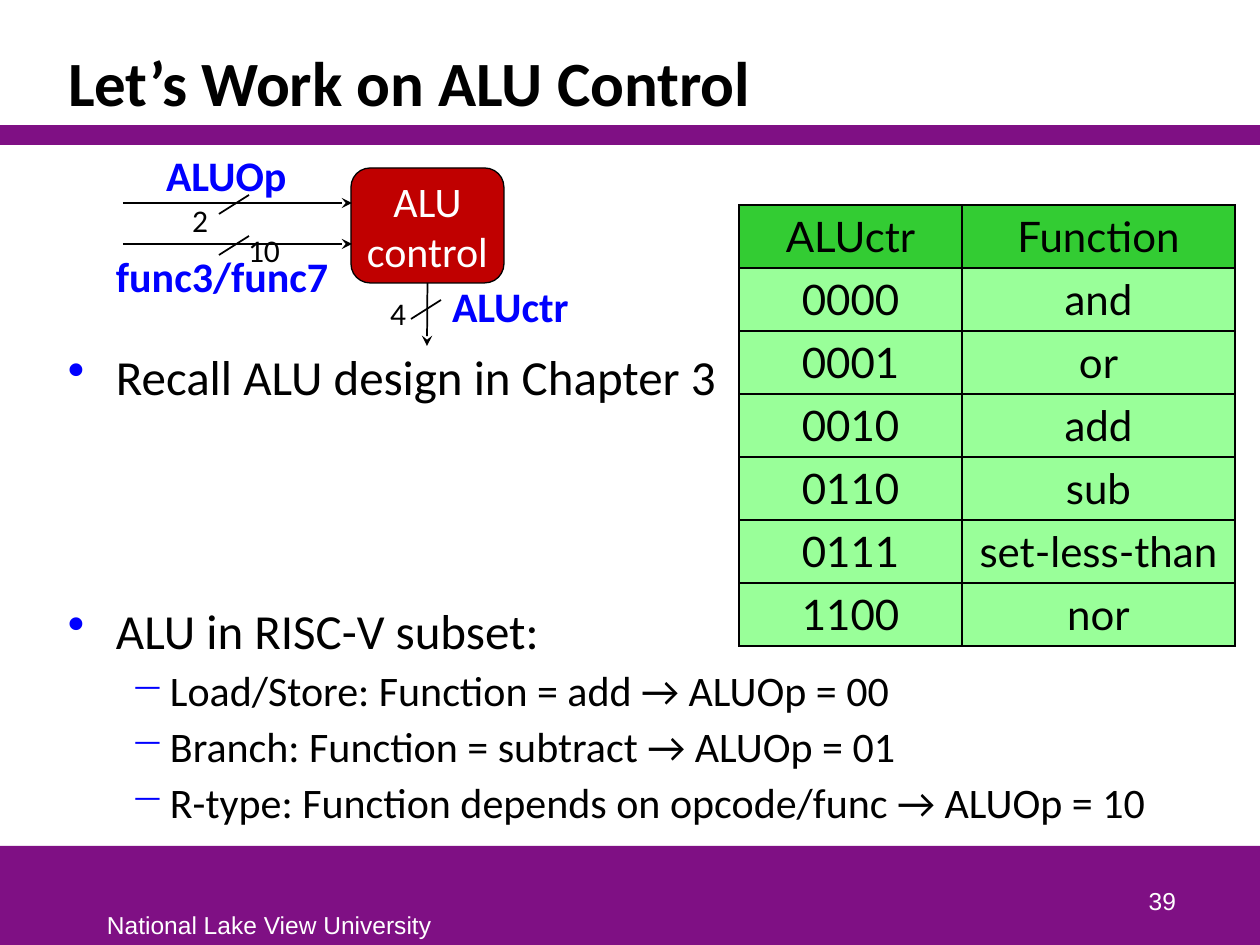
from lxml import etree
from pptx import Presentation
from pptx.dml.color import RGBColor
from pptx.enum.shapes import MSO_CONNECTOR, MSO_SHAPE
from pptx.enum.text import MSO_ANCHOR, PP_ALIGN
from pptx.oxml.ns import qn
from pptx.util import Pt

PX = 914400 / 126
STRAIGHT = MSO_CONNECTOR.STRAIGHT
RECT, ROUND_RECT = MSO_SHAPE.RECTANGLE, MSO_SHAPE.ROUNDED_RECTANGLE
TOP, MIDDLE, BOTTOM = MSO_ANCHOR.TOP, MSO_ANCHOR.MIDDLE, MSO_ANCHOR.BOTTOM
LEFT, CENTER, RIGHT = PP_ALIGN.LEFT, PP_ALIGN.CENTER, PP_ALIGN.RIGHT

BLACK = RGBColor(0x00, 0x00, 0x00)
WHITE = RGBColor(0xFF, 0xFF, 0xFF)
BLUE = RGBColor(0x00, 0x00, 0xFF)
PURPLE = RGBColor(0x7F, 0x10, 0x84)
RED = RGBColor(0xC0, 0x00, 0x00)
GREEN = RGBColor(0x33, 0xCC, 0x33)
LIGHT_GREEN = RGBColor(0x99, 0xFF, 0x99)

ALU_FUNCTIONS = [
    ("ALUctr", "Function"),
    ("0000", "and"),
    ("0001", "or"),
    ("0010", "add"),
    ("0110", "sub"),
    ("0111", "set-less-than"),
    ("1100", "nor"),
]
BULLETS = [
    ("Recall ALU design in Chapter 3", 0, 0),
    ("ALU in RISC-V subset:", 0, 112),
    ("Load/Store: Function = add → ALUOp = 00", 1, 3),
    ("Branch: Function = subtract → ALUOp = 01", 1, 3),
    ("R-type: Function depends on opcode/func → ALUOp = 10", 1, 3),
]
LEVELS = [("•", 28, 48, 48), ("−", 24, 102, 39)]


def px(*values):
    """Turn pixel lengths into a list of EMU."""
    return [round(v * PX) for v in values]


def write(p, text, size=24, font="Calibri", color=BLACK, bold=False, align=LEFT):
    """Add a formatted run to a paragraph."""
    p.alignment = align
    r = p.add_run()
    r.text = text
    r.font.size = Pt(size)
    r.font.name = font
    r.font.bold = bold
    r.font.color.rgb = color


def set_frame(tf, anchor=TOP, mx=13, my=6):
    """Set wrapping, anchor and margins of a text frame."""
    tf.word_wrap = True
    tf.vertical_anchor = anchor
    tf.margin_left = tf.margin_right = px(mx)[0]
    tf.margin_top = tf.margin_bottom = px(my)[0]


def add_text(s, box, text, anchor=TOP, mx=13, **fmt):
    """Add a one-paragraph text box and return its paragraph."""
    tf = s.shapes.add_textbox(*px(*box)).text_frame
    set_frame(tf, anchor, mx)
    write(tf.paragraphs[0], text, **fmt)
    return tf.paragraphs[0]


def add_box(s, kind, box, fill, line=None):
    """Add a filled shape without shadow."""
    sp = s.shapes.add_shape(kind, *px(*box))
    sp.shadow.inherit = False
    sp.fill.solid()
    sp.fill.fore_color.rgb = fill
    if line is None:
        sp.line.fill.background()
    else:
        sp.line.color.rgb = line
        sp.line.width = Pt(0.75)
    return sp


def add_line(s, x1, y1, x2, y2, arrow=False):
    """Add a thin black line, with a stealth arrowhead if asked."""
    c = s.shapes.add_connector(STRAIGHT, *px(x1, y1, x2, y2))
    c.line.color.rgb = BLACK
    c.line.width = Pt(1)
    if arrow:
        etree.SubElement(c.line._get_or_add_ln(), qn("a:tailEnd"), type="stealth")
    etree.SubElement(c._element.spPr, qn("a:effectLst"))
    return c


def add_header(s, x, y, w, h):
    """Place the title above its rule."""
    add_box(s, RECT, (x, y + h - 20, w, 20), PURPLE)
    p = add_text(s, (x + 55, y + 31, w - 110, h - 51), "Let’s Work on ALU Control",
                 BOTTOM, size=36, bold=True)
    p.line_spacing = 0.85


def add_footer(s, x, y, w, h):
    """Place the footer band with institution and page number."""
    add_box(s, RECT, (x, y, w, h), PURPLE)
    fmt = dict(size=14, font="Arial", color=WHITE)
    add_text(s, (x + 94, y + 58, 380, 41), "National Lake View University", **fmt)
    add_text(s, (x + 927, y + 12, 262, 63), "39", BOTTOM, align=RIGHT, **fmt)


def add_bullets(s, x, y, w, h):
    """Place the two-level bullet list."""
    tf = s.shapes.add_textbox(*px(x, y, w, h)).text_frame
    set_frame(tf, my=0)
    for i, (text, level, before) in enumerate(BULLETS):
        char, size, margin, hang = LEVELS[level]
        p = tf.add_paragraph() if i else tf.paragraphs[0]
        write(p, text, size=size)
        p.level = level
        p.space_before = Pt(before)
        pPr = p._p.get_or_add_pPr()
        pPr.set("marL", str(px(margin)[0]))
        pPr.set("indent", str(px(-hang)[0]))
        clr = etree.SubElement(pPr, qn("a:buClr"))
        etree.SubElement(clr, qn("a:srgbClr"), val=str(BLUE))
        etree.SubElement(pPr, qn("a:buChar"), char=char)


def add_borders(cell):
    """Give a table cell thin black borders."""
    tcPr = cell._tc.get_or_add_tcPr()
    for side in ("lnL", "lnR", "lnT", "lnB"):
        ln = etree.SubElement(tcPr, qn(f"a:{side}"), w=str(Pt(1)))
        fill = etree.SubElement(ln, qn("a:solidFill"))
        etree.SubElement(fill, qn("a:srgbClr"), val=str(BLACK))


def add_function_table(s, x, y, w, h):
    """Place the table of ALU control codes."""
    rows = len(ALU_FUNCTIONS)
    table = s.shapes.add_table(rows, 2, *px(x, y, w, h)).table
    table.columns[0].width, table.columns[1].width = px(223, w - 223)
    for i, values in enumerate(ALU_FUNCTIONS):
        table.rows[i].height = px(h // rows)[0]
        for j, text in enumerate(values):
            cell = table.cell(i, j)
            add_borders(cell)
            cell.fill.solid()
            cell.fill.fore_color.rgb = LIGHT_GREEN if i else GREEN
            cell.vertical_anchor = MIDDLE
            cell.margin_top = cell.margin_bottom = 0
            write(cell.text_frame.paragraphs[0], text, font="Lato", align=CENTER)


def add_alu_control(s, x, y):
    """Place the ALU control block with its signals."""
    block = add_box(s, ROUND_RECT, (x + 228, y + 24, 153, 115), RED, BLACK)
    set_frame(block.text_frame, MIDDLE, 0, 0)
    write(block.text_frame.paragraphs[0], "ALU control", color=WHITE, align=CENTER)
    for dy in (59, 100):
        add_line(s, x, y + dy, x + 229, y + dy, arrow=True)
        add_line(s, x + 126, y + dy - 8, x + 96, y + dy + 11)
    out = add_line(s, x + 304, y + 139, x + 304, y + 202, arrow=True)
    out.begin_connect(block, 2)
    add_line(s, x + 318, y + 156, x + 288, y + 175)
    for dx, dy, w, text in ((32, 0, 181, "ALUOp"), (-18, 101, 238, "func3/func7"),
                            (318, 131, 146, "ALUctr")):
        add_text(s, (x + dx, y + dy, w, 63), text, mx=11, color=BLUE, bold=True)
    for dx, dy, text in ((58, 51, "2"), (114, 81, "10"), (256, 144, "4")):
        add_text(s, (x + dx, y + dy, 56, 50), text, mx=11, size=18)


def main():
    """Build and save the slide."""
    prs = Presentation()
    prs.slide_width, prs.slide_height = px(1260, 945)
    s = prs.slides.add_slide(prs.slide_layouts[6])
    add_header(s, 0, 0, 1260, 145)
    add_footer(s, 0, 846, 1260, 99)
    add_bullets(s, 55, 346, 1149, 496)
    add_function_table(s, 739, 205, 496, 441)
    add_alu_control(s, 123, 144)
    prs.save("out.pptx")


if __name__ == "__main__":
    main()
